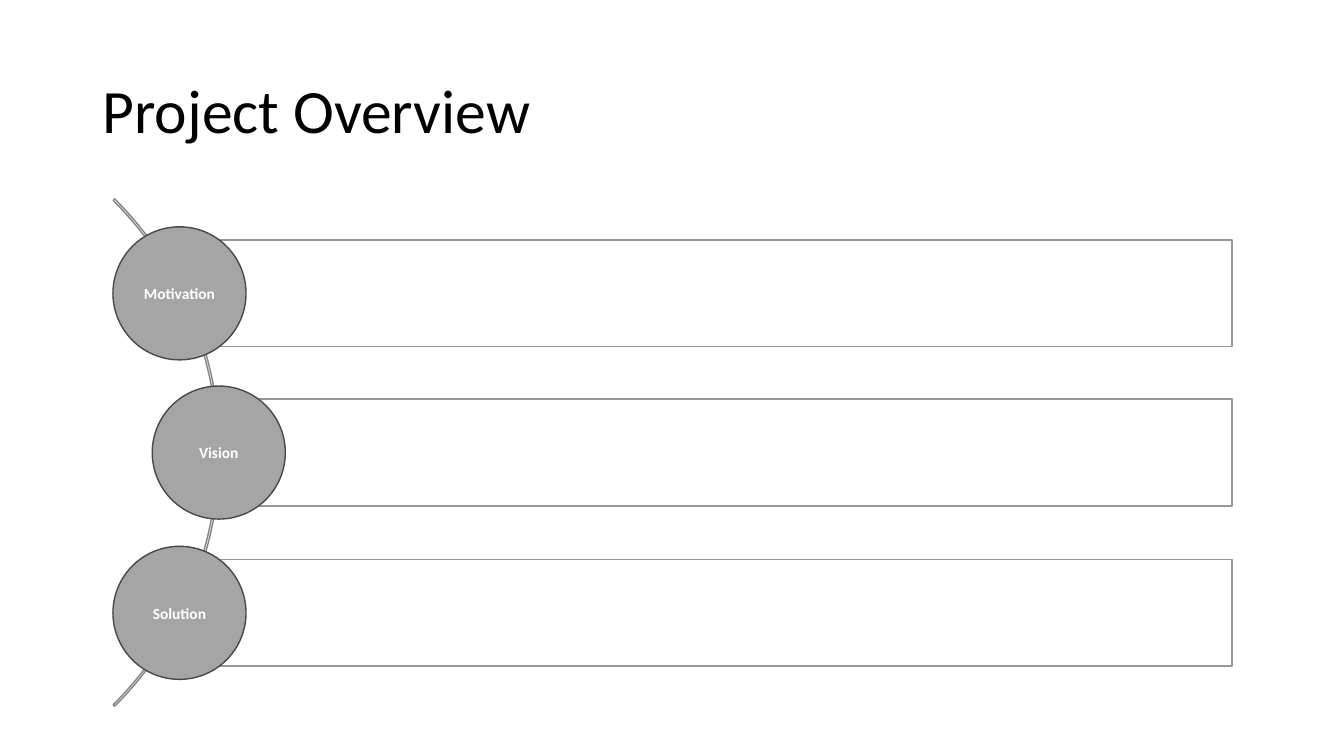
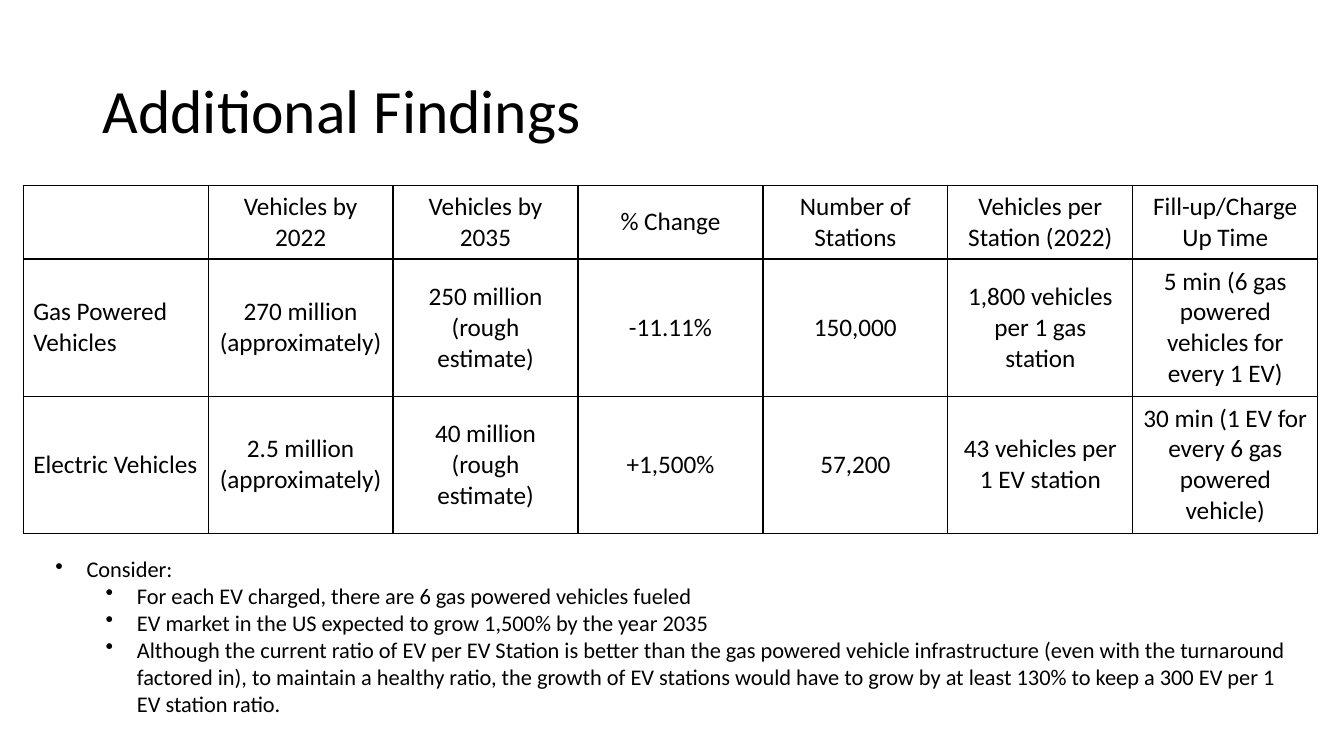
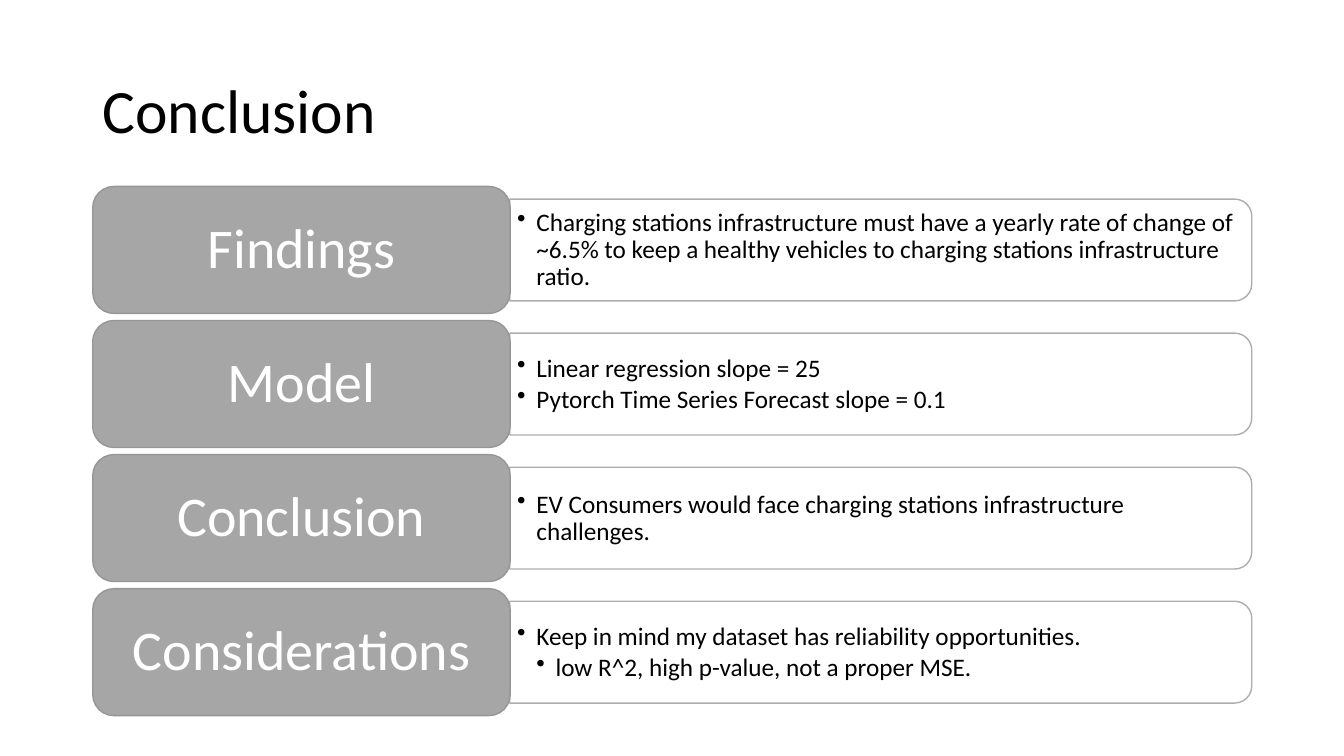
import collections
import dataclasses

import lxml.etree
import pptx
import pptx.dml.color
import pptx.enum.shapes
import pptx.enum.text
import pptx.oxml.ns
import pptx.util

SHAPE = pptx.enum.shapes.MSO_SHAPE
ALIGN = pptx.enum.text.PP_ALIGN
ANCHOR = pptx.enum.text.MSO_ANCHOR
Box = collections.namedtuple("Box", "left top width height")
Item = collections.namedtuple("Item", "text level", defaults=(0,))


@dataclasses.dataclass(frozen=True)
class Theme:
    font: str = "Calibri"
    ink: str = "000000"
    paper: str = "FFFFFF"
    circle: str = "A5A5A5"
    circle_edge: str = "484848"
    label: str = "A6A6A6"
    edge: str = "969696"
    arc: str = "848484"
    title_size: int = 44
    label_size: int = 40
    body_size: int = 18
    note_size: int = 16
    circle_size: int = 11
    line_width: int = 1
    panel_opacity: int = 90


THEME = Theme()
TITLE_BOX = Box(92, 40, 1150, 145)

TOPICS = ["Motivation", "Vision", "Solution"]

FINDINGS = [
    ["", "Vehicles by 2022", "Vehicles by 2035", "% Change", "Number of Stations",
     "Vehicles per Station (2022)", "Fill-up/Charge Up Time"],
    ["Gas Powered Vehicles", "270 million (approximately)", "250 million (rough estimate)",
     "-11.11%", "150,000", "1,800 vehicles per 1 gas station",
     "5 min (6 gas powered vehicles for every 1 EV)"],
    ["Electric Vehicles", "2.5 million (approximately)", "40 million (rough estimate)",
     "+1,500%", "57,200", "43 vehicles per 1 EV station",
     "30 min (1 EV for every 6 gas powered vehicle)"],
]

CONSIDER = [
    Item("Consider:"),
    Item("For each EV charged, there are 6 gas powered vehicles fueled", 1),
    Item("EV market in the US expected to grow 1,500% by the year 2035", 1),
    Item("Although the current ratio of EV per EV Station is better than the gas powered "
         "vehicle infrastructure (even with the turnaround factored in), to maintain a "
         "healthy ratio, the growth of EV stations would have to grow by at least 130% "
         "to keep a 300 EV per 1 EV station ratio.", 1),
]

SUMMARY = [
    ("Findings", [Item("Charging stations infrastructure must have a yearly rate of change "
                       "of ~6.5% to keep a healthy vehicles to charging stations "
                       "infrastructure ratio.")]),
    ("Model", [Item("Linear regression slope = 25"),
               Item("Pytorch Time Series Forecast slope = 0.1")]),
    ("Conclusion", [Item("EV Consumers would face charging stations infrastructure "
                         "challenges.")]),
    ("Considerations", [Item("Keep in mind my dataset has reliability opportunities."),
                        Item("low R^2, high p-value, not a proper MSE.", 1)]),
]


def px(length):
    return pptx.util.Emu(length * 9144)


def place(box):
    return [px(length) for length in box]


def rgb(code):
    return pptx.dml.color.RGBColor.from_string(code)


def add_xml(parent, tag, **attributes):
    return lxml.etree.SubElement(parent, pptx.oxml.ns.qn(tag), attributes)


def style_para(para, size, color, align=ALIGN.LEFT, bold=False):
    para.alignment = align
    for span in para.runs:
        span.font.name = THEME.font
        span.font.size = pptx.util.Pt(size)
        span.font.bold = bold
        span.font.color.rgb = rgb(color)


def set_frame(frame, anchor, inset_x, inset_y):
    frame.word_wrap = True
    frame.vertical_anchor = anchor
    frame.margin_left = frame.margin_right = px(inset_x)
    frame.margin_top = frame.margin_bottom = px(inset_y)


def add_bullet(para, left, hanging):
    props = para._p.get_or_add_pPr()
    props.set("marL", str(px(left)))
    props.set("indent", str(-px(hanging)))
    add_xml(props, "a:buChar", char="•")


def add_list(page, box, items, size, anchor, insets, hanging, step):
    frame = page.shapes.add_textbox(*place(box)).text_frame
    frame.text = "\n".join(item.text for item in items)
    set_frame(frame, anchor, *insets)
    for para, item in zip(frame.paragraphs, items):
        style_para(para, size, THEME.ink)
        add_bullet(para, hanging + step * item.level, hanging)
    return frame.paragraphs


def add_outline(page, kind, box, line, fill=None):
    shape = page.shapes.add_shape(kind, *place(box))
    shape.shadow.inherit = False
    shape.line.color.rgb = rgb(line)
    shape.line.width = pptx.util.Pt(THEME.line_width)
    if fill:
        shape.fill.solid()
        shape.fill.fore_color.rgb = rgb(fill)
    else:
        shape.fill.background()
    return shape


def add_label(shape, text, size, insets, bold=False):
    frame = shape.text_frame
    frame.text = text
    set_frame(frame, ANCHOR.MIDDLE, *insets)
    style_para(frame.paragraphs[0], size, THEME.paper, ALIGN.CENTER, bold)


def add_page(deck, title):
    page = deck.slides.add_slide(deck.slide_layouts[6])
    frame = page.shapes.add_textbox(*place(TITLE_BOX)).text_frame
    frame.text = title
    set_frame(frame, ANCHOR.MIDDLE, 10, 5)
    style_para(frame.paragraphs[0], THEME.title_size, THEME.ink)
    frame.paragraphs[0].line_spacing = 0.9
    return page


def add_topic_arc(page, box, topics):
    diameter, bar_height, radius = 132, 106, 356
    middle = box.top + box.height // 2
    arc = add_outline(page, SHAPE.BLOCK_ARC,
                      Box(box.left - 606, middle - radius, 2 * radius, 2 * radius), THEME.arc)
    for index, value in enumerate((189, 27, 0.003)):
        arc.adjustments[index] = value
    spare = box.height - diameter
    for index, topic in enumerate(topics):
        top = box.top + spare * index // (len(topics) - 1)
        left = box.left + (39 if index == 1 else 0)
        center = left + diameter // 2
        bar_top = top + (diameter - bar_height) // 2
        add_outline(page, SHAPE.RECTANGLE,
                    Box(center, bar_top, box.left + box.width - center, bar_height),
                    THEME.edge, THEME.paper)
        circle = add_outline(page, SHAPE.OVAL, Box(left, top, diameter, diameter),
                             THEME.circle_edge, THEME.circle)
        add_label(circle, topic, THEME.circle_size, (0, 0), bold=True)


def add_borders(cell):
    props = cell._tc.get_or_add_tcPr()
    for index, side in enumerate(("a:lnL", "a:lnR", "a:lnT", "a:lnB")):
        line = add_xml(props, side, w=str(pptx.util.Pt(THEME.line_width)))
        add_xml(add_xml(line, "a:solidFill"), "a:srgbClr", val=THEME.ink)
        props.insert(index, line)


def add_findings_table(page, box, rows):
    table = page.shapes.add_table(len(rows), len(rows[0]), *place(box)).table
    table.first_row = table.horz_banding = False
    head_height = 73
    for column in table.columns:
        column.width = px(box.width) // len(rows[0])
    for index, row in enumerate(table.rows):
        body_height = (box.height - head_height) // (len(rows) - 1)
        row.height = px(body_height if index else head_height)
        for column, (cell, text) in enumerate(zip(row.cells, rows[index])):
            cell.text = text
            cell.vertical_anchor = ANCHOR.MIDDLE
            cell.fill.background()
            add_borders(cell)
            style_para(cell.text_frame.paragraphs[0], THEME.body_size, THEME.ink,
                       ALIGN.CENTER if column else ALIGN.LEFT)


def add_panel(page, box):
    shift = (box.width - box.height) // 2
    upright = Box(box.left + shift, box.top - shift, box.height, box.width)
    panel = add_outline(page, SHAPE.ROUND_2_SAME_RECTANGLE, upright, THEME.circle, THEME.paper)
    panel.rotation = 90
    for color in panel._element.spPr.iter(pptx.oxml.ns.qn("a:srgbClr")):
        add_xml(color, "a:alpha", val=str(THEME.panel_opacity * 1000))


def add_summary_row(page, box, label, items):
    label_width = 414
    left = box.left + label_width
    add_panel(page, Box(left, box.top + 12, box.width - label_width, 101))
    text_box = Box(left, box.top + 18, box.width - label_width - 5, 91)
    for para in add_list(page, text_box, items, THEME.body_size, ANCHOR.MIDDLE, (7, 4), 19, 19):
        para.line_spacing = 0.9
        para.space_after = pptx.util.Pt(2.7)
    tile = add_outline(page, SHAPE.ROUNDED_RECTANGLE,
                       Box(box.left, box.top, label_width, box.height), THEME.edge, THEME.label)
    add_label(tile, label, THEME.label_size, (17, 8))
    tile.text_frame.paragraphs[0].line_spacing = 0.9


def overview_slide(deck):
    page = add_page(deck, "Project Overview")
    add_topic_arc(page, Box(112, 225, 1110, 449), TOPICS)


def findings_slide(deck):
    page = add_page(deck, "Additional Findings")
    add_findings_table(page, Box(23, 184, 1284, 345), FINDINGS)
    add_list(page, Box(45, 546, 1255, 199), CONSIDER, THEME.note_size,
             ANCHOR.TOP, (10, 5), 31, 50)


def conclusion_slide(deck):
    page = add_page(deck, "Conclusion")
    for index, (label, items) in enumerate(SUMMARY):
        add_summary_row(page, Box(92, 185 + 133 * index, 1150, 126), label, items)


def main():
    deck = pptx.Presentation()
    deck.slide_width, deck.slide_height = px(1333), px(750)
    overview_slide(deck)
    findings_slide(deck)
    conclusion_slide(deck)
    deck.save("out.pptx")


if __name__ == "__main__":
    main()
